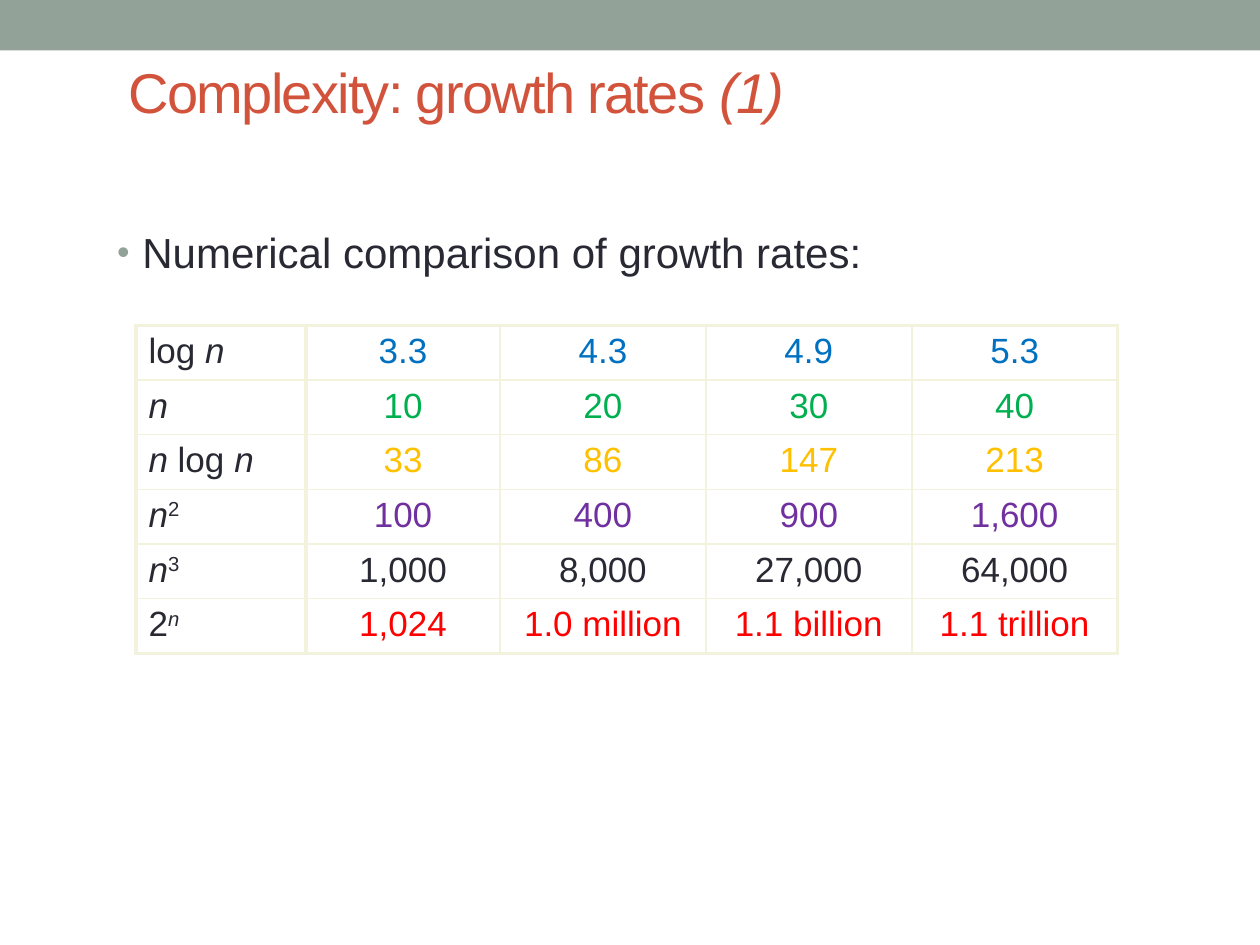
from lxml import etree
from pptx import Presentation
from pptx.dml.color import RGBColor
from pptx.enum.shapes import MSO_SHAPE
from pptx.enum.text import MSO_ANCHOR, PP_ALIGN
from pptx.oxml.ns import qn
from pptx.util import Cm, Pt

FONT = "Arial"
SAGE = RGBColor(0x93, 0xA2, 0x99)
RUST = RGBColor(0xD2, 0x53, 0x3C)
INK = RGBColor(0x29, 0x29, 0x34)
CREAM = RGBColor(0xF3, 0xF2, 0xDC)
WHITE = RGBColor(0xFF, 0xFF, 0xFF)
BLUE = RGBColor(0x00, 0x70, 0xC0)
GREEN = RGBColor(0x00, 0xB0, 0x50)
AMBER = RGBColor(0xFF, 0xC0, 0x00)
PURPLE = RGBColor(0x70, 0x30, 0xA0)
RED = RGBColor(0xFF, 0x00, 0x00)

# Each run is (text, style): "i" is italic, "^" is superscript.
TITLE = [("Complexity: growth rates ", ""), ("(1)", "i")]
BULLET = [("Numerical comparison of growth rates:", "")]
GROWTH_RATES = [
    ([("log ", ""), ("n", "i")], BLUE, ["3.3", "4.3", "4.9", "5.3"]),
    ([("n", "i")], GREEN, ["10", "20", "30", "40"]),
    ([("n", "i"), (" log ", ""), ("n", "i")], AMBER, ["33", "86", "147", "213"]),
    ([("n", "i"), ("2", "^")], PURPLE, ["100", "400", "900", "1,600"]),
    ([("n", "i"), ("3", "^")], INK, ["1,000", "8,000", "27,000", "64,000"]),
    ([("2", ""), ("n", "i^")], RED,
     ["1,024", "1.0 million", "1.1 billion", "1.1 trillion"]),
]
COLUMN_WIDTHS = [Cm(3.43), Cm(3.91), Cm(4.15), Cm(4.15), Cm(4.15)]
ROW_HEIGHT = Cm(1.1)
THIN, THICK = Pt(1), Pt(2.25)


def write_runs(paragraph, runs, size, color, spacing=None):
    """Add styled runs to a paragraph."""
    for text, style in runs:
        run = paragraph.add_run()
        run.text = text
        run.font.name = FONT
        run.font.size = Pt(size)
        run.font.color.rgb = color
        run.font.italic = "i" in style
        properties = run.font._element
        if "^" in style:
            properties.set("baseline", "30000")
        if spacing is not None:
            properties.set("spc", str(spacing))


def add_text(slide, box, anchor):
    """Add a wrapping text box and return its first paragraph."""
    frame = slide.shapes.add_textbox(*box).text_frame
    frame.word_wrap = True
    frame.vertical_anchor = anchor
    return frame.paragraphs[0]


def add_bullet(paragraph):
    """Give a paragraph a hanging sage bullet."""
    properties = paragraph._p.get_or_add_pPr()
    properties.set("marL", str(Cm(0.51)))
    properties.set("indent", str(-Cm(0.51)))
    color = etree.SubElement(properties, qn("a:buClr"))
    etree.SubElement(color, qn("a:srgbClr"), val=str(SAGE))
    etree.SubElement(properties, qn("a:buSzPct"), val="85000")
    etree.SubElement(properties, qn("a:buFont"), typeface=FONT)
    etree.SubElement(properties, qn("a:buChar"), char="•")


def set_borders(cell, widths):
    """Draw cream borders; widths maps a side letter to a line width."""
    properties = cell._tc.get_or_add_tcPr()
    for side, width in widths.items():
        line = etree.SubElement(properties, qn("a:ln" + side), w=str(width))
        fill = etree.SubElement(line, qn("a:solidFill"))
        etree.SubElement(fill, qn("a:srgbClr"), val=str(CREAM))


def add_growth_table(slide):
    """Add the table with a thick outline and a thick rule after the labels."""
    rows, columns = len(GROWTH_RATES), len(COLUMN_WIDTHS)
    table = slide.shapes.add_table(
        rows, columns, Cm(2.74), Cm(6.56),
        sum(COLUMN_WIDTHS), ROW_HEIGHT * rows).table
    table.first_row = table.horz_banding = False
    for column, width in zip(table.columns, COLUMN_WIDTHS):
        column.width = width
    for r, (label, color, values) in enumerate(GROWTH_RATES):
        table.rows[r].height = ROW_HEIGHT
        for c, runs in enumerate([label] + [[(v, "")] for v in values]):
            cell = table.cell(r, c)
            set_borders(cell, {
                "L": THICK if c <= 1 else THIN,
                "R": THICK if c in (0, columns - 1) else THIN,
                "T": THICK if r == 0 else THIN,
                "B": THICK if r == rows - 1 else THIN,
            })
            cell.fill.solid()
            cell.fill.fore_color.rgb = WHITE
            paragraph = cell.text_frame.paragraphs[0]
            paragraph.alignment = PP_ALIGN.CENTER if c else PP_ALIGN.LEFT
            write_runs(paragraph, runs, 20, color if c else INK)


prs = Presentation()
prs.slide_width, prs.slide_height = Cm(25.4), Cm(19.05)
slide = prs.slides.add_slide(prs.slide_layouts[6])

band = slide.shapes.add_shape(MSO_SHAPE.RECTANGLE, 0, 0, prs.slide_width, Cm(1.02))
band.shadow.inherit = False
band.fill.solid()
band.fill.fore_color.rgb = SAGE
band.line.fill.background()

title = add_text(slide, (Cm(2.34), Cm(0.84), Cm(17.07), Cm(2.01)), MSO_ANCHOR.MIDDLE)
write_runs(title, TITLE, 32, RUST, spacing=-100)

bullet = add_text(slide, (Cm(2.11), Cm(4.45), Cm(19.91), Cm(12.93)), MSO_ANCHOR.TOP)
bullet.space_before = Pt(4.8)
add_bullet(bullet)
write_runs(bullet, BULLET, 24, INK)

add_growth_table(slide)
prs.save("out.pptx")
